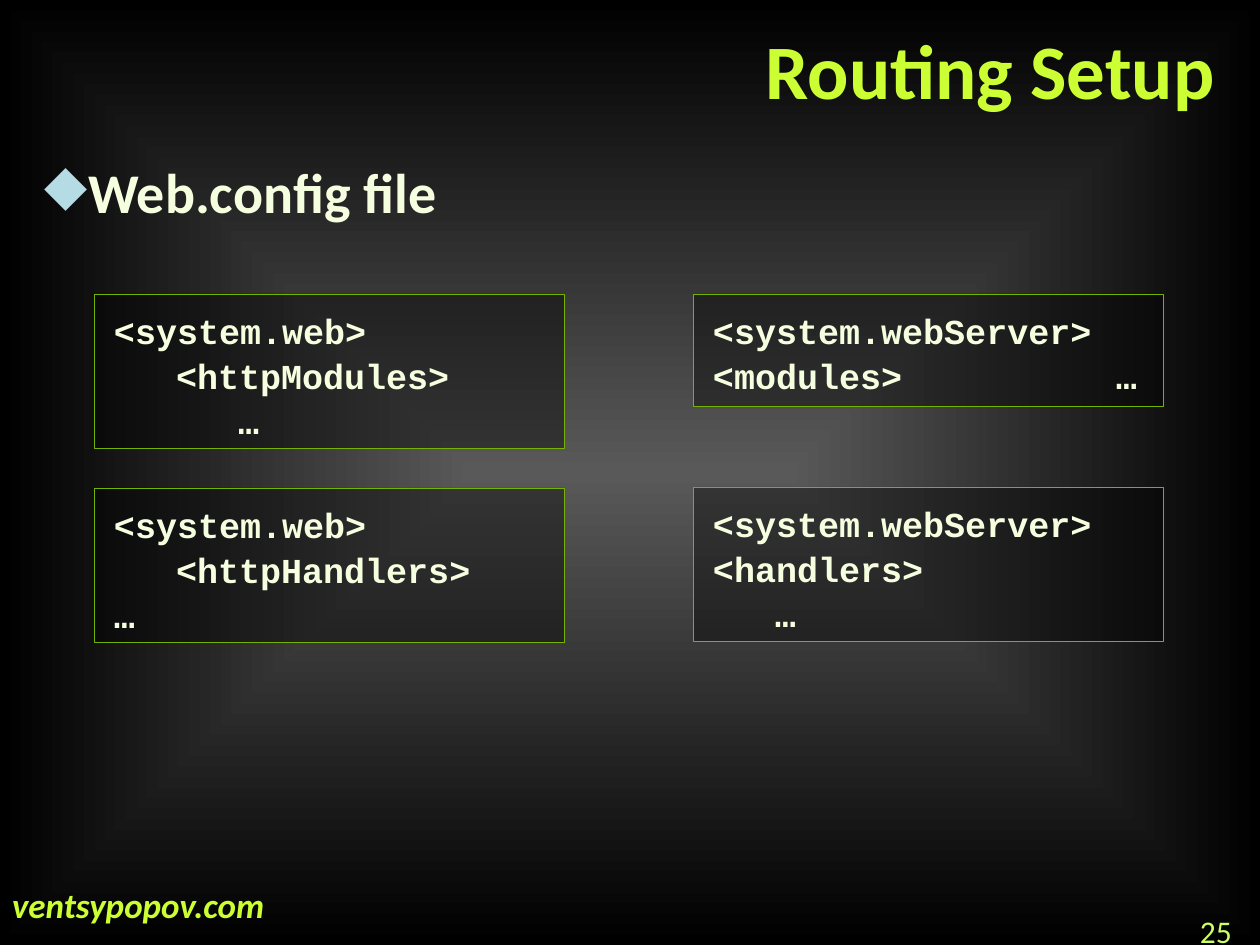
from dataclasses import dataclass

from lxml import etree
from pptx import Presentation
from pptx.dml.color import RGBColor
from pptx.enum import shapes, text
from pptx.oxml.ns import qn
from pptx.util import Pt

EMU_PER_PX = 914400 / 126
LIME, CREAM, GREEN = "CCFF33", "F5FFE0", "76B200"


@dataclass
class Style:
    size: int
    color: str
    font: str = "Calibri"
    bold: bool = True
    italic: bool = False


@dataclass
class CodeBox:
    x: int
    y: int
    h: int
    lines: list[str]
    tabs: list[int]


def px(n: int) -> int:
    return round(n * EMU_PER_PX)


def rgb(hex_color: str) -> RGBColor:
    return RGBColor.from_string(hex_color)


def add_child(parent, tag: str, **attrs: str):
    return etree.SubElement(parent, qn(tag), attrs)


def set_margins(tf, left: int, top: int, right: int, bottom: int) -> None:
    tf.margin_left, tf.margin_top = px(left), px(top)
    tf.margin_right, tf.margin_bottom = px(right), px(bottom)
    tf.vertical_anchor = text.MSO_ANCHOR.TOP
    tf.word_wrap = True


def write(p, content: str, style: Style) -> None:
    p.line_spacing = 1.07
    r = p.add_run()
    r.text = content
    f = r.font
    f.name, f.size, f.color.rgb = style.font, Pt(style.size), rgb(style.color)
    f.bold, f.italic = style.bold, style.italic


def add_label(s, x: int, y: int, w: int, h: int, content: str, style: Style):
    tf = s.shapes.add_textbox(px(x), px(y), px(w), px(h)).text_frame
    set_margins(tf, 13, 6, 13, 6)
    p = tf.paragraphs[0]
    write(p, content, style)
    return p


def add_bullet(p, char: str, color: str, indent: int) -> None:
    pPr = p._p.get_or_add_pPr()
    pPr.set("marL", str(px(indent)))
    pPr.set("indent", str(-px(indent)))
    add_child(add_child(pPr, "a:buClr"), "a:srgbClr", val=color)
    add_child(pPr, "a:buChar", char=char)


def add_code_box(s, box: CodeBox, style: Style) -> None:
    sp = s.shapes.add_shape(shapes.MSO_SHAPE.RECTANGLE,
                            px(box.x), px(box.y), px(470), px(box.h))
    sp.shadow.inherit = False
    sp.fill.solid()
    sp.fill.fore_color.rgb = rgb("000000")
    fill_color = sp._element.spPr.find(qn("a:solidFill"))[0]
    add_child(fill_color, "a:alpha", val="40000")
    sp.line.color.rgb = rgb(GREEN)
    sp.line.width = Pt(0.25)
    tf = sp.text_frame
    set_margins(tf, 20, 13, 20, 15)
    tf.auto_size = text.MSO_AUTO_SIZE.SHAPE_TO_FIT_TEXT
    for i, line in enumerate(box.lines):
        p = tf.add_paragraph() if i else tf.paragraphs[0]
        p.alignment = text.PP_ALIGN.LEFT
        tab_list = add_child(p._p.get_or_add_pPr(), "a:tabLst")
        for pos in box.tabs:
            add_child(tab_list, "a:tab", pos=str(px(pos)), algn="l")
        write(p, line, style)


def set_background(s) -> None:
    fill = s.background.fill
    fill.gradient()
    for stop, color in zip(fill.gradient_stops, ("595959", "000000")):
        stop.color.rgb = rgb(color)
    grad = s._element.find(".//" + qn("a:gradFill"))
    grad.remove(grad.find(qn("a:lin")))
    rect_path = add_child(grad, "a:path", path="rect")
    add_child(rect_path, "a:fillToRect", l="50000", t="50000", r="50000", b="50000")


def main() -> None:
    prs = Presentation()
    prs.slide_width, prs.slide_height = px(1260), px(945)
    s = prs.slides.add_slide(prs.slide_layouts[6])
    set_background(s)

    # Title and bullet
    title = add_label(s, 252, 10, 976, 126, "Routing Setup", Style(44, LIME))
    title.alignment = text.PP_ALIGN.RIGHT
    topic = add_label(s, 32, 147, 608, 777, "Web.config file", Style(32, CREAM))
    add_bullet(topic, "◆", "B5DBE5", 43)

    # Configuration snippets
    code = Style(20, CREAM, "Courier New")
    for box in (
        CodeBox(94, 294, 154, ["<system.web>", "\t<httpModules>", "\t\t…"], [62, 124]),
        CodeBox(94, 488, 154, ["<system.web>", "\t<httpHandlers>", "…"], [62]),
        CodeBox(693, 294, 112, ["<system.webServer>", "<modules>\t…"], [403]),
        CodeBox(693, 487, 154, ["<system.webServer>", "<handlers>", "\t…"], [62]),
    ):
        add_code_box(s, box, code)

    # Footer
    add_label(s, 1187, 903, 63, 32, "25", Style(18, "CCFF66", bold=False))
    site = add_label(s, -1, 843, 299, 74, "ventsypopov.com",
                     Style(20, LIME, italic=True))
    site.line_spacing = Pt(43.6)

    prs.save("out.pptx")


if __name__ == "__main__":
    main()
